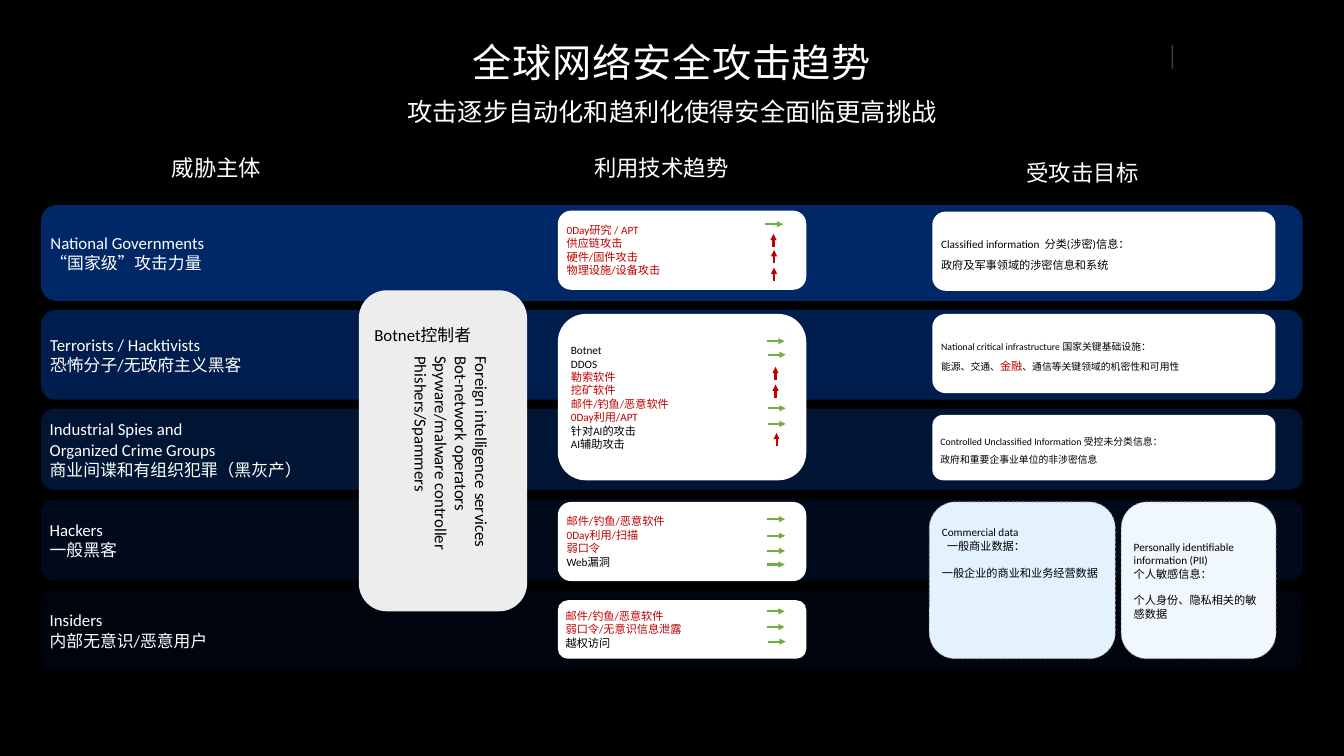
from dataclasses import dataclass

from lxml import etree
from pptx import Presentation
from pptx.dml.color import RGBColor
from pptx.enum.dml import MSO_LINE
from pptx.enum.shapes import MSO_CONNECTOR, MSO_SHAPE
from pptx.enum.text import MSO_ANCHOR, MSO_AUTO_SIZE, PP_ALIGN
from pptx.oxml.ns import qn
from pptx.util import Inches, Pt

ROUNDED, STRAIGHT = MSO_SHAPE.ROUNDED_RECTANGLE, MSO_CONNECTOR.STRAIGHT
LEFT, CENTER = PP_ALIGN.LEFT, PP_ALIGN.CENTER
TOP, MIDDLE = MSO_ANCHOR.TOP, MSO_ANCHOR.MIDDLE
GROW, FIXED = MSO_AUTO_SIZE.SHAPE_TO_FIT_TEXT, MSO_AUTO_SIZE.NONE
DASH = MSO_LINE.DASH

BLACK = RGBColor(0x00, 0x00, 0x00)
WHITE = RGBColor(0xFF, 0xFF, 0xFF)
BAND_BLUE = RGBColor(0x00, 0x66, 0xFF)
PANEL_GREY = RGBColor(0xED, 0xED, 0xED)
BORDER_GREY = RGBColor(0xA5, 0xA5, 0xA5)
PALE_BLUE = RGBColor(0xE3, 0xF2, 0xFD)
PALER_BLUE = RGBColor(0xF0, 0xF8, 0xFE)
RED = RGBColor(0xC0, 0x00, 0x00)
GREEN = RGBColor(0x70, 0xAD, 0x47)


@dataclass
class Para:
    """Runs are (text, colour or None, size or None)."""
    runs: list
    before: float = 0
    indent: float = 0


def red(text):
    return Para([(text, RED, None)])


def plain(text, before=0, indent=0):
    return Para([(text, None, None)], before, indent)


def set_alpha(shape, percent):
    colour = shape._element.spPr.find(".//" + qn("a:srgbClr"))
    etree.SubElement(colour, qn("a:alpha")).set("val", str(percent * 1000))


@dataclass
class Board:
    """Holds the text style and the slide being drawn."""
    slide: object
    font_name: str = "Calibri"

    def fill_text(self, frame, paragraphs, size, color, align=LEFT, spacing=1.0,
                  track=0, **frame_format):
        for name, value in frame_format.items():
            setattr(frame, name, value)
        for i, para in enumerate(paragraphs):
            para = plain(para) if isinstance(para, str) else para
            p = frame.add_paragraph() if i else frame.paragraphs[0]
            props = p._p.get_or_add_pPr()
            props.set("marL", str(Inches(para.indent)))
            props.set("indent", "0")
            etree.SubElement(props, qn("a:buNone"))
            p_format = {"alignment": align, "line_spacing": spacing,
                        "space_before": Pt(para.before)}
            for name, value in p_format.items():
                setattr(p, name, value)
            for text, run_color, run_size in para.runs:
                run = p.add_run()
                run.text = text
                run_format = {"name": self.font_name, "size": Pt(run_size or size)}
                for name, value in run_format.items():
                    setattr(run.font, name, value)
                run.font.color.rgb = run_color or color
                if track:
                    run._r.get_or_add_rPr().set("spc", str(track))

    def heading(self, index, box, text, size, inset, **text_format):
        holder = self.slide.placeholders[index]
        holder.left, holder.top, holder.width, holder.height = map(Inches, box)
        margins = {f"margin_{side}": Inches(inset)
                   for side in ("left", "right", "top", "bottom")}
        self.fill_text(holder.text_frame, [text], size, WHITE, CENTER,
                       vertical_anchor=MIDDLE, **margins, **text_format)

    def label(self, box, paragraphs, size, color, vertical=False):
        frame = self.slide.shapes.add_textbox(*map(Inches, box)).text_frame
        self.fill_text(frame, paragraphs, size, color, word_wrap=False, auto_size=GROW)
        if vertical:
            frame._txBody.bodyPr.set("vert", "eaVert")

    def card(self, box, fill, paragraphs=(), size=16, color=BLACK, alpha=None,
             dashed=False, **text_format):
        shape = self.slide.shapes.add_shape(ROUNDED, *map(Inches, box))
        shape.shadow.inherit = False
        shape.fill.solid()
        shape.fill.fore_color.rgb = fill
        if alpha:
            set_alpha(shape, alpha)
        if dashed:
            shape.line.color.rgb = BORDER_GREY
            shape.line.width = Pt(1)
            shape.line.dash_style = DASH
        else:
            shape.line.fill.background()
        text_format = {"vertical_anchor": MIDDLE, "word_wrap": True, **text_format}
        self.fill_text(shape.text_frame, paragraphs, size, color, **text_format)

    def line(self, start, end, color, width, arrow=False, alpha=None):
        line = self.slide.shapes.add_connector(STRAIGHT, *map(Inches, start + end))
        line.line.color.rgb = color
        line.line.width = Pt(width)
        if alpha:
            set_alpha(line, alpha)
        props = line._element.spPr
        if arrow:
            etree.SubElement(props.find(qn("a:ln")), qn("a:tailEnd")).set("type", "triangle")
        etree.SubElement(props, qn("a:effectLst"))


def main():
    prs = Presentation()
    prs.slide_width, prs.slide_height = Inches(26.67), Inches(15)
    board = Board(prs.slides.add_slide(prs.slide_layouts[1]))
    background = board.slide.background.fill
    background.solid()
    background.fore_color.rgb = BLACK

    # Headings and the corner mark
    board.line((23.26, 1.36), (23.26, 0.89), WHITE, 1, alpha=70)
    board.heading(1, (5, 1.63, 16.67, 1.16), "攻击逐步自动化和趋利化使得安全面临更高挑战",
                  36, 0.1, auto_size=FIXED)
    board.heading(0, (5, 0.72, 16.67, 1.01), "全球网络安全攻击趋势",
                  56, 0.03, auto_size=GROW, track=110)
    for text, left, top, width in [("威胁主体", 3.31, 3.01, 2),
                                   ("利用技术趋势", 11.69, 3.01, 2.89),
                                   ("受攻击目标", 20.27, 3.11, 2.45)]:
        board.label((left, top, width, 0.64), [text], 32, WHITE)

    # Threat actors, one band each, fading downwards
    actors = [
        (4.07, 1.9, 40, ["National Governments", "“国家级”攻击力量"]),
        (6.15, 1.78, 30, ["Terrorists / Hacktivists", "恐怖分子/无政府主义黑客"]),
        (8.11, 1.61, 20, ["Industrial Spies and", "Organized Crime Groups",
                          "商业间谍和有组织犯罪（黑灰产）"]),
        (9.91, 1.61, 10, ["Hackers", "一般黑客"]),
        (11.71, 1.59, 5, ["Insiders", "内部无意识/恶意用户"]),
    ]
    for top, height, alpha, names in actors:
        board.card((0.81, top, 25.04, height), BAND_BLUE, names, 24, WHITE, alpha)

    # Botnet controllers across the bands
    board.card((7.12, 5.76, 3.34, 6.37), PANEL_GREY)
    board.label((7.99, 6.97, 1.82, 4.73),
                ["Foreign intelligence services", "Bot-network operators",
                 "Spyware/malware controller", "Phishers/Spammers"],
                24, BLACK, vertical=True)
    board.label((7.33, 6.39, 2.29, 0.5), ["Botnet控制者"], 24, BLACK)

    # Techniques, rising ones in red
    phishing = red("邮件/钓鱼/恶意软件")
    techniques = [
        (4.18, 1.57, [red("0Day研究 / APT"), red("供应链攻击"),
                      red("硬件/固件攻击"), red("物理设施/设备攻击")]),
        (6.23, 3.3, ["Botnet", "DDOS", red("勒索软件"), red("挖矿软件"), phishing,
                     red("0Day利用/APT"), "针对AI的攻击", "AI辅助攻击"]),
        (9.96, 1.57, [phishing, red("0Day利用/扫描"), red("弱口令"), "Web漏洞"]),
        (11.91, 1.16, [phishing, red("弱口令/无意识信息泄露"), "越权访问"]),
    ]
    for top, height, names in techniques:
        board.card((11.07, top, 4.93, height), WHITE, names)

    # Targets
    targets = [
        (4.2, 1.57, 16, ["Classified information  分类(涉密)信息：",
                         "政府及军事领域的涉密信息和系统"]),
        (6.23, 1.57, 14, ["National critical infrastructure 国家关键基础设施：",
                          Para([("能源、交通、", None, None), ("金融", RED, 16),
                                ("、通信等关键领域的机密性和可用性", None, None)])]),
        (8.23, 1.3, 14, ["Controlled Unclassified Information 受控未分类信息：",
                         "政府和重要企事业单位的非涉密信息"]),
    ]
    for top, height, size, lines in targets:
        board.card((18.5, top, 6.81, height), WHITE, lines, size, spacing=1.5)
    board.card((18.44, 9.96, 3.69, 3.11), PALE_BLUE,
               ["Commercial data", plain("一般商业数据：", indent=0.1),
                plain("一般企业的商业和业务经营数据", before=19)],
               dashed=True, vertical_anchor=TOP, margin_top=Inches(0.32))
    board.card((22.25, 9.96, 3.07, 3.11), PALER_BLUE,
               ["Personally identifiable information (PII)", "个人敏感信息：",
                plain("个人身份、隐私相关的敏感数据", before=19)], dashed=True)

    # Trend arrows: green is steady, red is rising
    steady = [(15.19, 4.45), (15.22, 6.77), (15.24, 7.04), (15.24, 8.1),
              (15.24, 8.41), (15.23, 10.3), (15.23, 10.63), (15.23, 10.93),
              (15.22, 11.2), (15.22, 12.13), (15.22, 12.44), (15.24, 12.73)]
    rising = [(15.35, 4.9), (15.36, 5.22), (15.36, 5.57),
              (15.39, 7.54), (15.39, 7.89), (15.41, 8.85)]
    for x, y in steady:
        board.line((x, y), (x + 0.35, y), GREEN, 3, arrow=True)
    for x, y in rising:
        board.line((x, y), (x, y - 0.26), RED, 3, arrow=True)

    prs.save("out.pptx")


if __name__ == "__main__":
    main()
